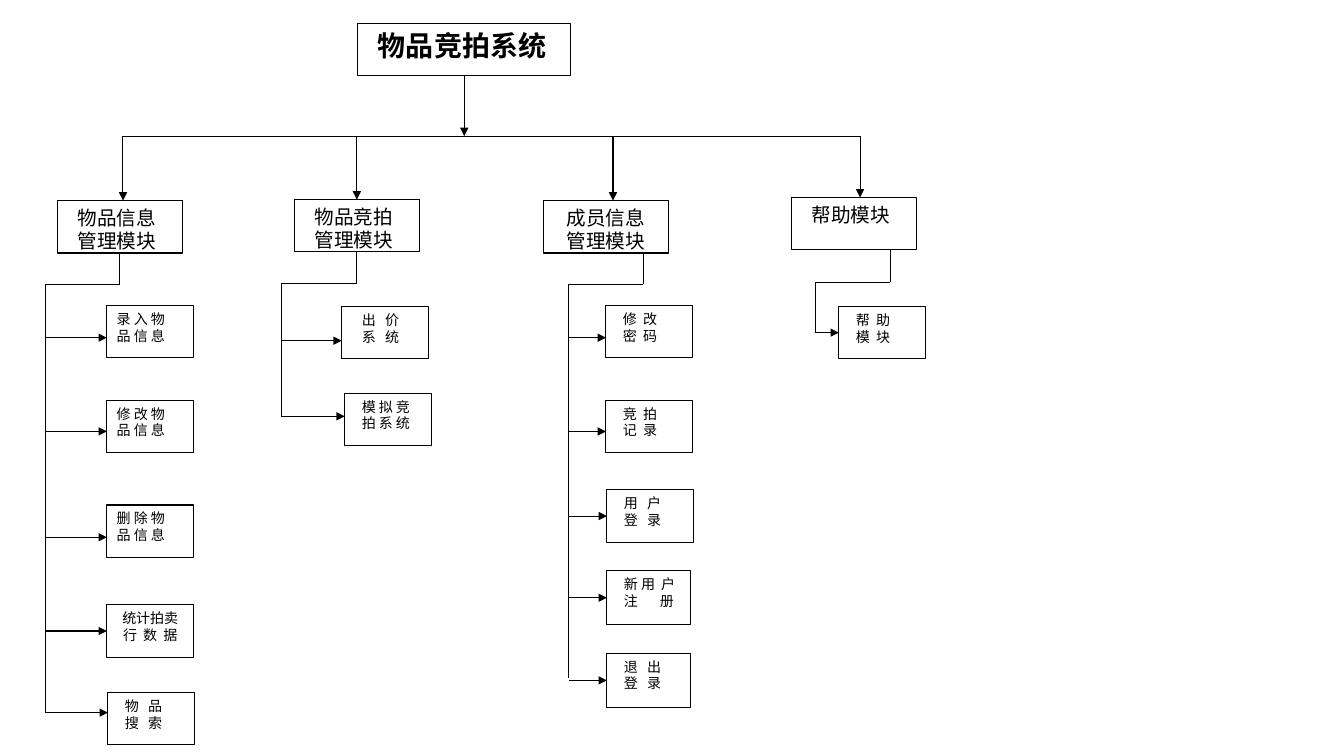
"""Build the module structure diagram of the item auction system."""
import dataclasses

import lxml.etree
import pptx
import pptx.dml.color
import pptx.enum.shapes
import pptx.enum.text
import pptx.oxml.ns
import pptx.util
from pptx.util import Inches

COLORS = {"box": "FFFFFF", "ink": "000000"}
FONT = "Times New Roman"
LINE_WIDTH = 0.75
BAR_Y = 1.35
TOLERANCE = 0.02
TOP, LEFT, BOTTOM = 0, 1, 2


@dataclasses.dataclass
class Box:
    """A labelled rectangle, measured in inches."""
    left: float
    top: float
    lines: list
    width: float = 0.86
    height: float = 0.52
    size: int = 10
    indent: float = 0.07
    centered: bool = False
    bold: bool = False

    @property
    def middle_x(self):
        return self.left + self.width / 2

    @property
    def middle_y(self):
        return self.top + self.height / 2

    @property
    def bottom(self):
        return self.top + self.height


@dataclasses.dataclass
class Branch:
    """A module, the lines around it, and its leaves with their arrow heights."""
    module: Box
    drop_x: float
    stem_x: float
    trunk_x: float
    bend_y: float
    leaves: list


def module_box(left, top, lines, **options):
    """Describe a module rectangle."""
    return Box(left, top, lines, width=1.24, size=14, indent=0.1, **options)


TITLE = Box(3.55, 0.23, ["物品竞拍系统"], width=2.11, size=20, indent=0.1, bold=True)
BRANCHES = [
    Branch(module_box(0.57, 1.99, ["物品信息", "管理模块"]), 1.22, 1.19, 0.45, 2.82, [
        (Box(1.06, 3.03, ["录 入 物", "品 信 息"], indent=0), 3.35),
        (Box(1.06, 3.97, ["修 改 物", "品 信 息"], indent=0), 4.28),
        (Box(1.06, 5.01, ["删 除 物", "品 信 息"], indent=0), 5.33),
        (Box(1.06, 6.0, ["统计拍卖行  数  据"], indent=0, centered=True), 6.27),
        (Box(1.07, 6.87, ["物   品", "搜   索"]), 7.07),
    ]),
    Branch(module_box(2.92, 1.98, ["物品竞拍", "管理模块"]), 3.53, 3.53, 2.79, 2.81, [
        (Box(3.39, 3.04, ["出   价", "系   统"], indent=0.1), 3.38),
        (Box(3.42, 3.9, ["模 拟 竞", "拍 系 统"]), 4.13),
    ]),
    Branch(module_box(5.39, 1.99, ["成员信息", "管理模块"], centered=True),
           6.08, 6.38, 5.64, 2.82, [
        (Box(6.01, 3.03, ["修  改", "密  码"]), 3.35),
        (Box(6.01, 3.97, ["竞  拍", "记  录"]), 4.28),
        (Box(6.02, 4.86, ["用   户", "登   录"]), 5.14),
        (Box(6.02, 5.66, ["新 用  户", "注       册"], width=0.83, height=0.54), 5.93),
        (Box(6.02, 6.48, ["退   出", "登   录"], width=0.83, height=0.54), 6.73),
    ]),
    Branch(module_box(7.85, 1.96, ["帮助模块"]), 8.53, 8.83, 8.09, 2.8, [
        (Box(8.32, 3.04, ["帮  助", "模  块"]), 3.3),
    ]),
]


def color(name):
    """Return a named colour."""
    return pptx.dml.color.RGBColor.from_string(COLORS[name])


def add_box(slide, box):
    """Draw a rectangle with its lines of text."""
    shape = slide.shapes.add_shape(
        pptx.enum.shapes.MSO_SHAPE.RECTANGLE,
        Inches(box.left), Inches(box.top), Inches(box.width), Inches(box.height))
    shape.shadow.inherit = False
    shape.fill.solid()
    shape.fill.fore_color.rgb = color("box")
    shape.line.color.rgb = color("ink")
    shape.line.width = pptx.util.Pt(LINE_WIDTH)
    frame = shape.text_frame
    frame.word_wrap = True
    frame.vertical_anchor = pptx.enum.text.MSO_ANCHOR.TOP
    alignment = pptx.enum.text.PP_ALIGN
    for index, line in enumerate(box.lines):
        paragraph = frame.add_paragraph() if index else frame.paragraphs[0]
        paragraph.text = line
        paragraph.alignment = alignment.CENTER if box.centered else alignment.LEFT
        if box.indent and not box.centered:
            paragraph._p.get_or_add_pPr().set("indent", str(Inches(box.indent)))
        paragraph.font.name = FONT
        paragraph.font.size = pptx.util.Pt(box.size)
        paragraph.font.bold = box.bold
        paragraph.font.color.rgb = color("ink")
    return shape


def add_line(slide, start, end, arrow=False):
    """Draw a straight line, with an arrowhead at its end if asked."""
    connector = slide.shapes.add_connector(
        pptx.enum.shapes.MSO_CONNECTOR.STRAIGHT,
        *(Inches(value) for value in (*start, *end)))
    connector.line.color.rgb = color("ink")
    connector.line.width = pptx.util.Pt(LINE_WIDTH)
    if arrow:
        head = lxml.etree.SubElement(
            connector.line._get_or_add_ln(), pptx.oxml.ns.qn("a:tailEnd"))
        head.set("type", "triangle")
    lxml.etree.SubElement(connector._element.spPr, pptx.oxml.ns.qn("a:effectLst"))
    return connector


def snap(value, middle):
    """Return the place to use and whether it is the middle of the side."""
    joined = abs(value - middle) <= TOLERANCE
    return (middle if joined else value), joined


def add_leaf(slide, trunk_x, leaf, arrow_y):
    """Draw a leaf and the arrow that reaches it from the trunk."""
    shape = add_box(slide, leaf)
    y, joined = snap(arrow_y, leaf.middle_y)
    connector = add_line(slide, (trunk_x, y), (leaf.left, y), arrow=True)
    if joined:
        connector.end_connect(shape, LEFT)


def add_branch(slide, branch):
    """Draw a module with its drop arrow, trunk and leaves."""
    module = branch.module
    shape = add_box(slide, module)
    drop_x, joined = snap(branch.drop_x, module.middle_x)
    drop = add_line(slide, (drop_x, BAR_Y), (drop_x, module.top), arrow=True)
    if joined:
        drop.end_connect(shape, TOP)
    stem_x, joined = snap(branch.stem_x, module.middle_x)
    stem = add_line(slide, (stem_x, module.bottom), (stem_x, branch.bend_y))
    if joined:
        stem.begin_connect(shape, BOTTOM)
    corner = (branch.trunk_x, branch.bend_y)
    add_line(slide, corner, (stem_x, branch.bend_y))
    add_line(slide, corner, (branch.trunk_x, branch.leaves[-1][1]))
    for leaf, arrow_y in branch.leaves:
        add_leaf(slide, branch.trunk_x, leaf, arrow_y)


def main():
    """Build and save the slide."""
    presentation = pptx.Presentation()
    presentation.slide_width = Inches(13.33)
    presentation.slide_height = Inches(7.5)
    slide = presentation.slides.add_slide(presentation.slide_layouts[6])
    title = add_box(slide, TITLE)
    trunk = add_line(slide, (TITLE.middle_x, TITLE.bottom), (TITLE.middle_x, BAR_Y), arrow=True)
    trunk.begin_connect(title, BOTTOM)
    add_line(slide, (BRANCHES[0].drop_x, BAR_Y), (BRANCHES[-1].drop_x, BAR_Y))
    for branch in BRANCHES:
        add_branch(slide, branch)
    presentation.save("out.pptx")


if __name__ == "__main__":
    main()
